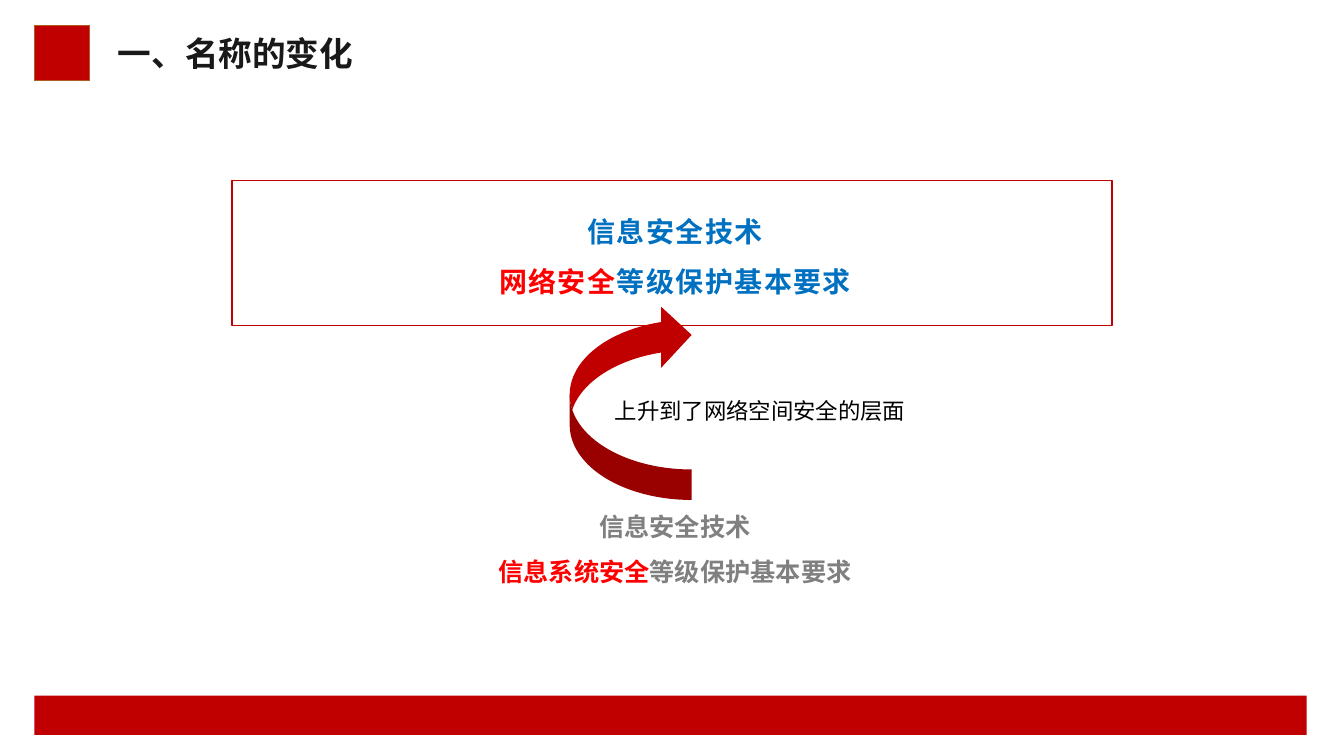
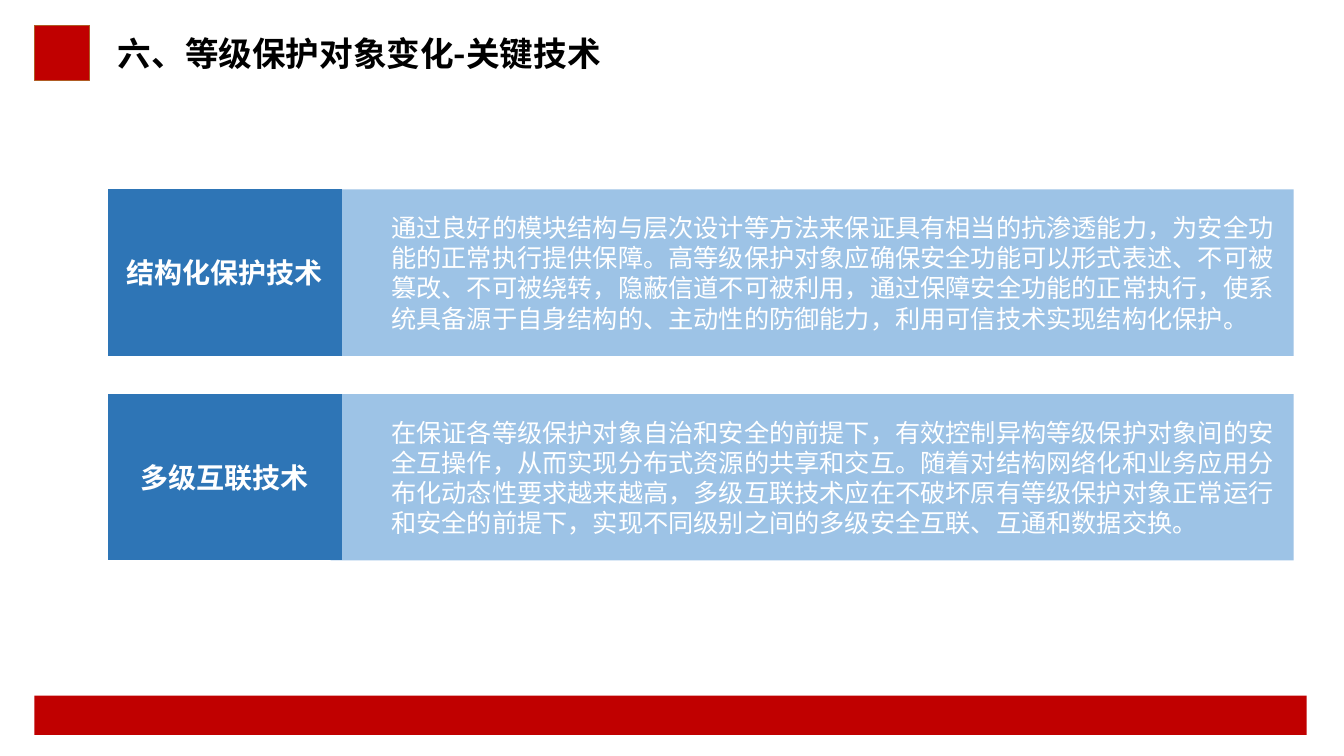
import pptx
import pptx.util
import pptx.dml.color
import pptx.enum.shapes
import pptx.enum.text
import pptx.oxml.ns
from lxml import etree

Inches = pptx.util.Inches
Pt = pptx.util.Pt
RGBColor = pptx.dml.color.RGBColor
Shape = pptx.enum.shapes.MSO_SHAPE
Anchor = pptx.enum.text.MSO_ANCHOR
Align = pptx.enum.text.PP_ALIGN

FONT = "Noto Sans CJK SC"
CRIMSON = RGBColor(0xC0, 0x00, 0x00)
BRONZE = RGBColor(0xAF, 0x5C, 0x24)
CHARCOAL = RGBColor(0x19, 0x19, 0x19)
BLACK = RGBColor(0x00, 0x00, 0x00)
WHITE = RGBColor(0xFF, 0xFF, 0xFF)
RED = RGBColor(0xFF, 0x00, 0x00)
BLUE = RGBColor(0x00, 0x70, 0xC0)
GRAY = RGBColor(0x80, 0x80, 0x80)
DEEP_BLUE = RGBColor(0x2E, 0x75, 0xB6)
PALE_BLUE = RGBColor(0x9D, 0xC3, 0xE6)

ROW_TOP = 1.88
ROW_HEIGHT = 1.65
ROW_STEP = 2.03

TECHNOLOGIES = [
    ("结构化保护技术",
     "通过良好的模块结构与层次设计等方法来保证具有相当的抗渗透能力，为安全功能的正常执行提供保障。"
     "高等级保护对象应确保安全功能可以形式表述、不可被篡改、不可被绕转，隐蔽信道不可被利用，"
     "通过保障安全功能的正常执行，使系统具备源于自身结构的、主动性的防御能力，"
     "利用可信技术实现结构化保护。"),
    ("多级互联技术",
     "在保证各等级保护对象自治和安全的前提下，有效控制异构等级保护对象间的安全互操作，"
     "从而实现分布式资源的共享和交互。随着对结构网络化和业务应用分布化动态性要求越来越高，"
     "多级互联技术应在不破坏原有等级保护对象正常运行和安全的前提下，"
     "实现不同级别之间的多级安全互联、互通和数据交换。"),
]


def format_span(span, size, color, bold=False, tracking=0):
    span.font.name = FONT
    span.font.size = Pt(size)
    span.font.bold = bold
    span.font.color.rgb = color
    properties = span.font._element
    if tracking:
        properties.set("spc", str(tracking * 100))
    east_asian = etree.SubElement(properties, pptx.oxml.ns.qn("a:ea"))
    east_asian.set("typeface", FONT)


def write(box, text, size, color, bold=False, align=Align.LEFT, pitch=None):
    frame = box.text_frame
    frame.text = text
    frame.vertical_anchor = Anchor.MIDDLE
    para = frame.paragraphs[0]
    para.alignment = align
    if pitch:
        para.line_spacing = Pt(pitch)
    format_span(para.runs[0], size, color, bold)


def add_block(page, kind, area, fill=None, line=None):
    block = page.shapes.add_shape(kind, *map(Inches, area))
    block.shadow.inherit = False
    if fill is None:
        block.fill.background()
    else:
        block.fill.solid()
        block.fill.fore_color.rgb = fill
    if line is None:
        block.line.fill.background()
    else:
        block.line.color.rgb = line
        block.line.width = Pt(1)
    return block


def add_text_box(page, area, wrap=True):
    box = page.shapes.add_textbox(*map(Inches, area))
    box.text_frame.word_wrap = wrap
    return box


def add_standard_name(page, area, lines, size, pitch, space_after=0, tracking=0):
    frame = add_text_box(page, area).text_frame
    for index, parts in enumerate(lines):
        para = frame.add_paragraph() if index else frame.paragraphs[0]
        para.alignment = Align.CENTER
        para.line_spacing = Pt(pitch)
        para.space_after = Pt(space_after)
        for text, color in parts:
            span = para.add_run()
            span.text = text
            format_span(span, size, color, True, tracking)


def add_page(deck, title, title_color):
    page = deck.slides.add_slide(deck.slide_layouts[6])
    add_block(page, Shape.RECTANGLE, (0.34, 6.9, 12.62, 0.39), CRIMSON)
    add_block(page, Shape.RECTANGLE, (0.34, 0.25, 0.55, 0.55), CRIMSON, BRONZE)
    write(add_text_box(page, (1.07, 0.25, 5.59, 0.55)), title, 24, title_color, True)
    return page


def add_technology_row(page, top, name, description):
    panel = add_block(page, Shape.RECTANGLE, (3.28, top, 9.55, ROW_HEIGHT), PALE_BLUE)
    panel.text_frame.margin_left = Inches(0.6)
    write(panel, description, 18, WHITE, pitch=21.6)
    label = add_block(page, Shape.FLOWCHART_PROCESS, (1.07, top, 2.32, ROW_HEIGHT), DEEP_BLUE)
    write(label, name, 20, WHITE, True, Align.CENTER)


def build_name_page(deck):
    page = add_page(deck, "一、名称的变化", CHARCOAL)
    add_block(page, Shape.RECTANGLE, (2.3, 1.79, 8.73, 1.44), line=CRIMSON)
    add_standard_name(
        page, (2.77, 2.08, 7.85, 0.94),
        [[("信息安全技术", BLUE)], [("网络安全", RED), ("等级保护基本要求", BLUE)]],
        20, 24, space_after=12, tracking=1)
    add_standard_name(
        page, (3.13, 4.87, 7.13, 1.01),
        [[("信息安全技术", GRAY)], [("信息系统安全", RED), ("等级保护基本要求", GRAY)]],
        18, 32.5)
    arrow = add_block(page, Shape.CURVED_LEFT_ARROW, (5.65, 3.02, 1.21, 1.94), CRIMSON)
    arrow.rotation = 180
    note = add_text_box(page, (6, 3.89, 3.12, 0.37), wrap=False)
    write(note, "上升到了网络空间安全的层面", 16, BLACK)


def build_technology_page(deck):
    page = add_page(deck, "六、等级保护对象变化-关键技术", BLACK)
    for index, (name, description) in enumerate(TECHNOLOGIES):
        add_technology_row(page, ROW_TOP + index * ROW_STEP, name, description)


def main():
    deck = pptx.Presentation()
    deck.slide_width = Inches(13.33)
    deck.slide_height = Inches(7.5)
    build_name_page(deck)
    build_technology_page(deck)
    deck.save("out.pptx")


if __name__ == "__main__":
    main()
